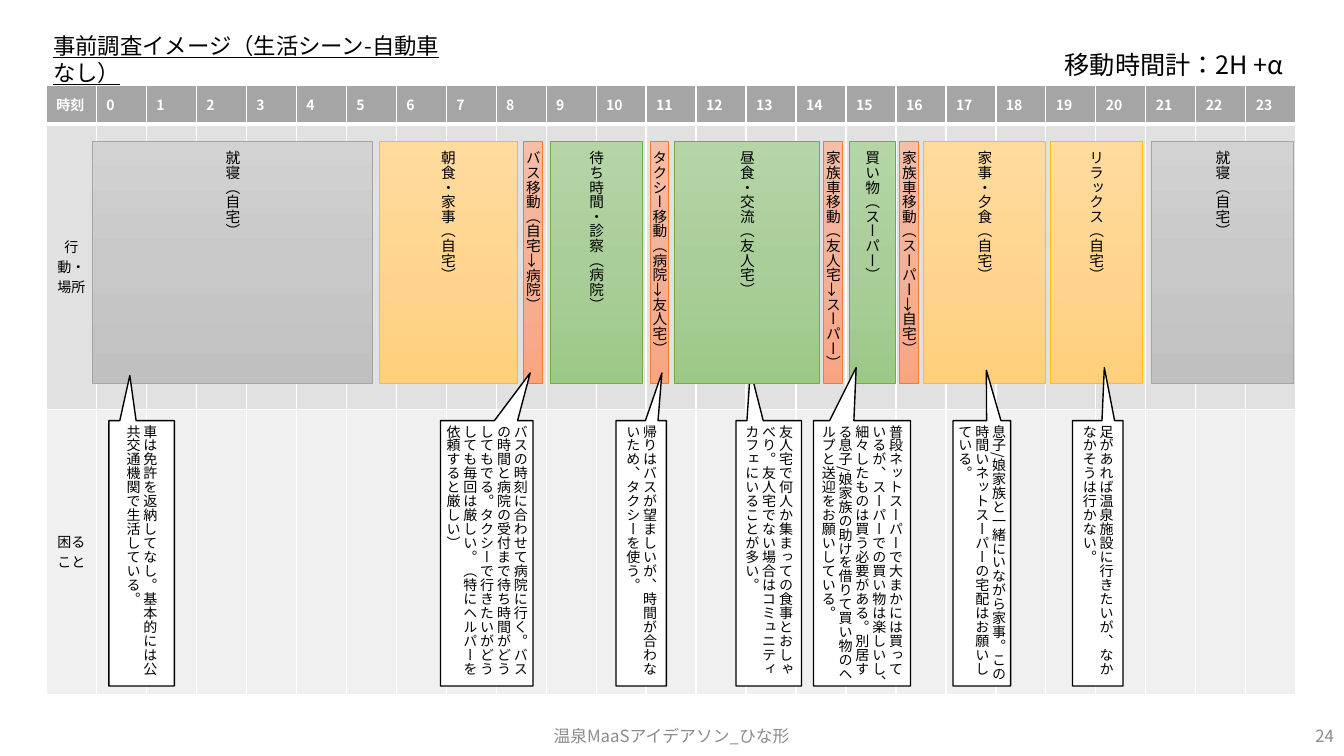
from collections import namedtuple
from copy import deepcopy
from dataclasses import dataclass

from lxml import etree
from pptx import Presentation
from pptx import util as u
from pptx.dml.color import RGBColor
from pptx.enum import lang, shapes, text
from pptx.oxml.ns import qn

Box = namedtuple("Box", "left top width height")


@dataclass(frozen=True)
class Theme:
    font: str = "Noto Sans CJK JP"
    ink: str = "000000"
    paper: str = "FFFFFF"
    muted: str = "8C8C8C"
    header: str = "A5A5A5"
    rows: tuple = ("E1E1E1", "F0F0F0")
    title: float = 16
    total: float = 18
    footer: float = 12
    block: float = 10.5
    body: float = 10


THEME = Theme()
PALETTE = {
    "sleep": ("A5A5A5", ("D2D2D2", "C8C8C8", "C0C0C0")),
    "home": ("FFC000", ("FFDB9E", "FFD590", "FFD07C")),
    "travel": ("ED7D31", ("F7BDA5", "F5B196", "F8A582")),
    "outing": ("70AD47", ("B5D5A7", "AACE9A", "9CC987")),
}
HOURS = 24
GRID = Box(0.46, 0.85, 12.4, 6.04)
HEADER_HEIGHT = 0.38
HOUR = GRID.width / (HOURS + 1)
ROW = (GRID.height - HEADER_HEIGHT) / 2
ROW_LABELS = ("行動・場所", "困ること")

ACTIVITIES = [
    (-0.07, 5.58, "sleep", "就寝（自宅）"),
    (5.65, 2.76, "home", "朝食・家事（自宅）"),
    (8.54, 0.38, "travel", "バス移動（自宅→病院）"),
    (9.08, 1.83, "outing", "待ち時間・診察（病院）"),
    (11.08, 0.36, "travel", "タクシー移動（病院→友人宅）"),
    (14.54, 0.38, "travel", "家族車移動（友人宅→スーパー）"),
    (15.05, 0.93, "outing", "買い物（スーパー）"),
    (16.06, 0.38, "travel", "家族車移動（スーパー→自宅）"),
    (16.54, 2.44, "home", "家事・夕食（自宅）"),
    (19.08, 1.83, "home", "リラックス（自宅）"),
    (21.1, 2.84, "sleep", "就寝（自宅）"),
]
FRONT_ACTIVITIES = [(11.56, 2.9, "outing", "昼食・交流（友人宅）")]
TROUBLES = [
    (0.25, 1.31, (-0.18, -0.67), "車は免許を返納してなし。基本的には公共交通機関で生活している。"),
    (6.88, 1.85, (0.47, -0.68), "バスの時刻に合わせて病院に行く。バスの時間と病院の受付まで待ち時間がどうしてもでる。"
     "タクシーで行きたいがどうしても毎回は厳しい。（特にヘルパーを依頼すると厳しい）"),
    (10.39, 1.01, (0.41, -0.68), "帰りはバスが望ましいが、時間が合わないため、タクシーを使う。"),
    (12.79, 1.31, (-0.28, -0.69), "友人宅で何人か集まっての食事とおしゃべり。友人宅でない場合はコミュニティカフェにいることが多い。"),
    (14.34, 1.94, (-0.06, -0.7), "普段ネットスーパーで大まかには買っているが、スーパーでの買い物は楽しいし、"
     "細々したものは買う必要がある。別居する息子/娘家族の助けを借りて買い物のヘルプと送迎をお願いしている。"),
    (17.13, 1.15, (0.08, -0.69), "息子/娘家族と一緒にいながら家事。この時間いネットスーパーの宅配はお願いしている。"),
    (19.52, 1.01, (0.13, -0.7), "足があれば温泉施設に行きたいが、なかなかそうは行かない。"),
]


def place(box):
    return [u.Inches(length) for length in box]


def apply(target, values):
    for name, value in values.items():
        setattr(target, name, value)


def write(frame, words, size, color=THEME.ink, align=text.PP_ALIGN.LEFT, **font_values):
    paragraph = frame.paragraphs[0]
    paragraph.alignment = align
    run = paragraph.add_run()
    run.text = words
    apply(run.font, {"name": THEME.font, "size": u.Pt(size),
                     "language_id": lang.MSO_LANGUAGE_ID.JAPANESE, **font_values})
    run.font.color.rgb = RGBColor.from_string(color)
    latin = run.font._element.find(qn("a:latin"))
    east_asian = etree.Element(qn("a:ea"), typeface=THEME.font)
    latin.addnext(east_asian)


def add_label(slide, box, words, size, anchor=text.MSO_ANCHOR.TOP, **format_values):
    frame = slide.shapes.add_textbox(*place(box)).text_frame
    apply(frame, {"word_wrap": True, "vertical_anchor": anchor})
    write(frame, words, size, **format_values)


def add_vertical_shape(slide, kind, box, outline, weight):
    shape = slide.shapes.add_shape(kind, *place(box))
    shape.shadow.inherit = False
    shape.line.color.rgb = RGBColor.from_string(outline)
    shape.line.width = u.Pt(weight)
    frame = shape.text_frame
    apply(frame, {"word_wrap": True, "vertical_anchor": text.MSO_ANCHOR.MIDDLE})
    frame._txBody.bodyPr.set("vert", "eaVert")
    return shape


def fill_gradient(shape, colors):
    shape.fill.gradient()
    shape.fill.gradient_angle = 270
    first = shape._element.spPr.find(".//" + qn("a:gs"))
    first.addnext(deepcopy(first))
    for index, (stop, color) in enumerate(zip(shape.fill.gradient_stops, colors)):
        stop.position = index / 2
        stop.color.rgb = RGBColor.from_string(color)


def style_cell(cell, fill, top, bottom):
    cell.vertical_anchor = text.MSO_ANCHOR.MIDDLE
    properties = cell._tc.get_or_add_tcPr()
    for side, weight in (("L", 1), ("R", 1), ("T", top), ("B", bottom)):
        border = etree.SubElement(properties, qn("a:ln" + side), w=str(u.Pt(weight)))
        solid = etree.SubElement(border, qn("a:solidFill"))
        etree.SubElement(solid, qn("a:srgbClr"), val=THEME.paper)
    cell.fill.solid()
    cell.fill.fore_color.rgb = RGBColor.from_string(fill)


def draw_timetable(slide, box):
    table = slide.shapes.add_table(3, HOURS + 1, *place(box)).table
    for column in table.columns:
        column.width = u.Inches(HOUR)
    for row, height in zip(table.rows, (HEADER_HEIGHT, ROW, ROW)):
        row.height = u.Inches(height)
    for index, title in enumerate(["時刻", *map(str, range(HOURS))]):
        header = table.cell(0, index)
        style_cell(header, THEME.header, 1, 3)
        write(header.text_frame, title, THEME.body, THEME.paper, bold=True)
        for row, fill in enumerate(THEME.rows, 1):
            style_cell(table.cell(row, index), fill, 3 if row == 1 else 1, 1)
    for row, label in enumerate(ROW_LABELS, 1):
        cell = table.cell(row, 0)
        cell._tc.get_or_add_tcPr().set("vert", "eaVert")
        write(cell.text_frame, label, THEME.body, align=text.PP_ALIGN.CENTER, bold=False)


def draw_activities(slide, box, activities):
    for start, length, kind, words in activities:
        outline, colors = PALETTE[kind]
        area = Box(box.left + start * HOUR, box.top + 0.06 * box.height,
                   length * HOUR, 0.85 * box.height)
        block = add_vertical_shape(slide, shapes.MSO_SHAPE.RECTANGLE, area, outline, 0.5)
        fill_gradient(block, colors)
        write(block.text_frame, words, THEME.block, align=text.PP_ALIGN.CENTER)


def draw_troubles(slide, box):
    margins = {f"margin_{side}": u.Inches(0.04) for side in ("left", "top", "right", "bottom")}
    for start, length, tip, words in TROUBLES:
        area = Box(box.left + start * HOUR, box.top + 0.04 * box.height,
                   length * HOUR, 0.93 * box.height)
        callout = add_vertical_shape(slide, shapes.MSO_SHAPE.RECTANGULAR_CALLOUT, area, THEME.ink, 1)
        callout.adjustments[0], callout.adjustments[1] = tip
        callout.fill.solid()
        callout.fill.fore_color.rgb = RGBColor.from_string(THEME.paper)
        apply(callout.text_frame, margins)
        write(callout.text_frame, words, THEME.body)


def draw_footer(slide, box):
    middle = text.MSO_ANCHOR.MIDDLE
    add_label(slide, Box(4.1, box.top, 5.12, box.height), "温泉MaaSアイデアソン_ひな形", THEME.footer,
              middle, color=THEME.muted, align=text.PP_ALIGN.CENTER)
    add_label(slide, Box(box.width - 3, box.top, 3, box.height), "24", THEME.footer,
              middle, color=THEME.muted, align=text.PP_ALIGN.RIGHT)


def main():
    presentation = Presentation()
    apply(presentation, {"slide_width": u.Inches(13.33), "slide_height": u.Inches(7.5)})
    slide = presentation.slides.add_slide(presentation.slide_layouts[6])
    add_label(slide, Box(0.43, 0.27, 4.24, 0.37), "事前調査イメージ（生活シーン-自動車なし）",
              THEME.title, underline=True)
    draw_timetable(slide, GRID)
    action_row = Box(GRID.left + HOUR, GRID.top + HEADER_HEIGHT, HOURS * HOUR, ROW)
    trouble_row = action_row._replace(top=action_row.top + ROW)
    draw_activities(slide, action_row, ACTIVITIES)
    draw_troubles(slide, trouble_row)
    draw_activities(slide, action_row, FRONT_ACTIVITIES)
    add_label(slide, Box(10.28, 0.44, 2.55, 0.4), "移動時間計：2H +α", THEME.total,
              align=text.PP_ALIGN.RIGHT)
    draw_footer(slide, Box(0, 7.1, 13.33, 0.4))
    presentation.save("out.pptx")


if __name__ == "__main__":
    main()
